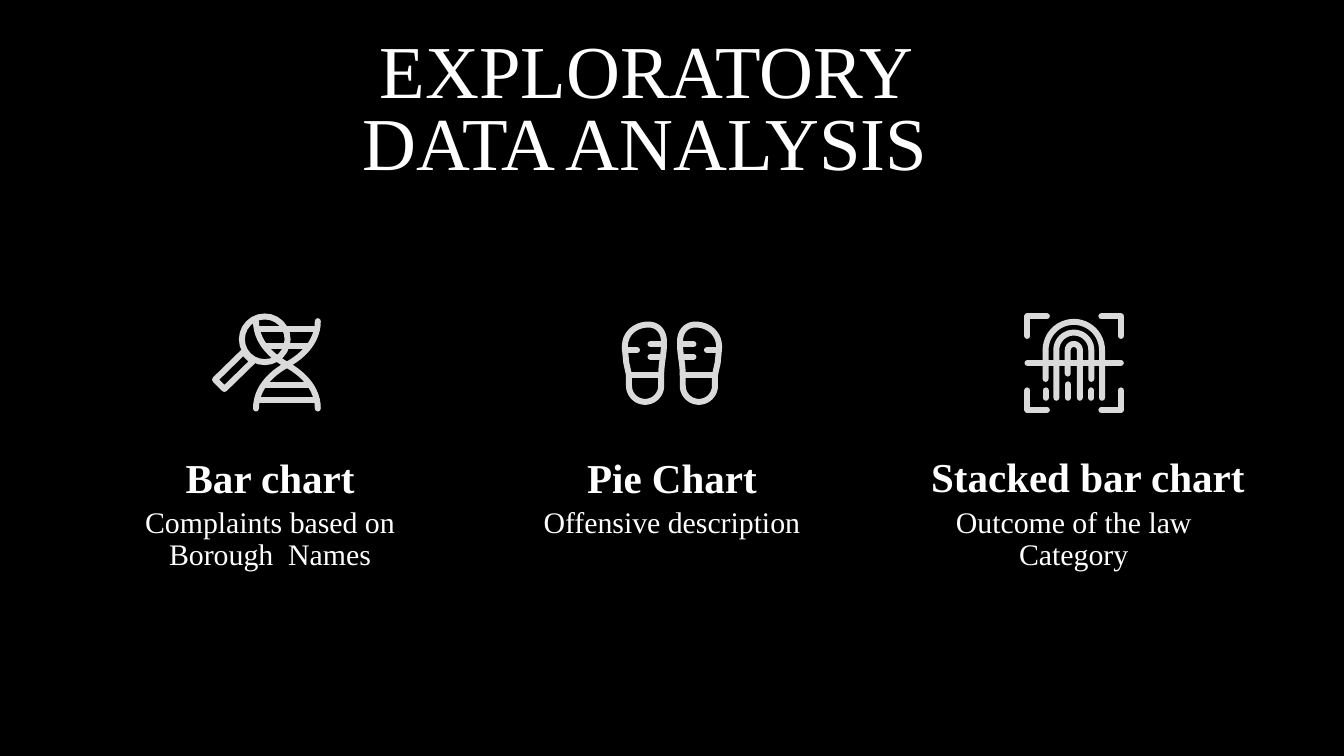
from math import cos, pi, sin

from lxml.etree import SubElement
from pptx import Presentation
from pptx.dml.color import RGBColor
from pptx.enum.shapes import MSO_CONNECTOR
from pptx.enum.text import MSO_ANCHOR, MSO_AUTO_SIZE, PP_ALIGN
from pptx.oxml.ns import qn
from pptx.util import Inches, Pt

FONT = "Times New Roman"
WHITE, GREY, BLACK = "FFFFFF", "DADADA", "000000"
WIDE = Inches(10)


def color(code):
    return RGBColor.from_string(code)


def style(target, values):
    for name, value in values.items():
        setattr(target, name, value)


def write(shape, text, size, bold=False, anchor=MSO_ANCHOR.TOP, **spacing):
    frame = shape.text_frame
    edge = Inches(0.1)
    style(frame, dict(text=text, word_wrap=True, auto_size=MSO_AUTO_SIZE.NONE,
                      vertical_anchor=anchor, margin_left=edge,
                      margin_right=edge, margin_top=edge, margin_bottom=edge))
    para = frame.paragraphs[0]
    style(para, dict(alignment=PP_ALIGN.CENTER, space_before=Pt(0), **spacing))
    font = para.runs[0].font
    style(font, dict(name=FONT, size=Pt(size), bold=bold))
    font.color.rgb = color(WHITE)


# Icon points are in hundredths of an inch from the icon's corner
def arc(x, y, r, start, end, steps=24):
    turns = [(start + (end - start) * i / steps) * pi / 180
             for i in range(steps + 1)]
    return [(x + r * cos(t), y + r * sin(t)) for t in turns]


def curve(a, b, c, d, steps=12):
    points = []
    for i in range(steps + 1):
        t = i / steps
        u = 1 - t
        points.append(tuple(
            u**3 * p + 3 * u * u * t * q + 3 * u * t * t * r + t**3 * s
            for p, q, r, s in zip(a, b, c, d)))
    return points


def flip(lines, axis, span):
    return [[(span - x, y) if axis == "x" else (x, span - y)
             for x, y in line] for line in lines]


def pen(shape):
    shape.line.color.rgb = color(GREY)
    shape.line.width = Pt(3.2)
    line = shape.line._get_or_add_ln()
    line.set("cap", "rnd")
    SubElement(line, qn("a:round"))


def draw(slide, box, lines):
    left, top = box
    paths = [[(Inches(left + x / 100), Inches(top + y / 100))
              for x, y in line] for line in lines]
    form = slide.shapes.build_freeform(*paths[0][0])
    for i, path in enumerate(paths):
        if i:
            form.move_to(*path[0])
        form.add_line_segments(path[1:], close=False)
    shape = form.convert_to_shape()
    shape.shadow.inherit = False
    shape.fill.background()
    pen(shape)


def dash(slide, box, x, start, end):
    left, top = box
    across = Inches(left + x / 100)
    mark = slide.shapes.add_connector(
        MSO_CONNECTOR.STRAIGHT, across, Inches(top + start / 100),
        across, Inches(top + end / 100))
    pen(mark)
    SubElement(mark._element.spPr, qn("a:effectLst"))


# Magnifier over a DNA helix
def helix(slide, box):
    strand = (curve((33.5, 6), (33.5, 20), (43, 31), (56.5, 38.5))
              + curve((56.5, 38.5), (70, 46), (79.5, 57), (79.5, 71)))
    rungs = [[(x, y), (113 - x, y)]
             for x, y in [(35, 12), (40, 24.5), (40, 53.5), (35, 65)]]
    handle = [(3, 49.5), (10, 56.5), (31, 36), (24, 29), (3, 49.5)]
    lens = arc(40, 19.5, 17, 0, 360)
    draw(slide, box, [strand, *flip([strand], "x", 113), *rungs, handle, lens])


# Pair of shoe prints
def shoes(slide, box):
    left, top = box
    outline = (curve((5, 40), (5, 30), (2.5, 24), (3, 14))
               + curve((3, 14), (3.5, 7), (8, 2.5), (14.5, 2.5))
               + curve((14.5, 2.5), (24, 2.5), (33, 9), (32, 21))
               + [(31, 31), (29, 40)] + arc(17, 48, 12, 0, 180) + [(5, 40)])
    bars = [[(a, y), (b, y)] for a, b, y in
            [(5, 29, 40), (5, 13, 17), (5, 13, 26.5), (23, 32, 21.5)]]
    right = [outline, *bars]
    draw(slide, (left + 0.4, top), right)
    draw(slide, box, flip(right, "x", 34))


# Fingerprint in a scan frame
def finger(slide, box):
    span = 74.5
    corner = [[(2.5, 17), (2.5, 2.5), (17, 2.5)]]
    for part in (corner, flip(corner, "x", span)):
        draw(slide, box, part)
        draw(slide, box, flip(part, "y", span))
    ridges = [[(37 - r, a), *arc(37, 27.5, r, 180, 360), (37 + r, b)]
              for r, a, b in [(21, 49, 63), (13, 63, 49), (4.5, 45, 63)]]
    draw(slide, box, [*ridges, [(2.5, 37), (72, 37)]])
    for x, start in [(16, 57.5), (32.5, 53), (50, 57.5)]:
        dash(slide, box, x, start, 63)


# Heading and text under an icon
def label(slide, box, head, text, shift=(0, 0), extra=0):
    left, top, width = box
    dx, dy = shift
    name = slide.shapes.add_textbox(Inches(left + dx), Inches(top + dy),
                                    Inches(width + extra), Inches(0.49))
    write(name, head, 22, True, MSO_ANCHOR.BOTTOM,
          line_spacing=0.9, space_after=Pt(12))
    body = slide.shapes.add_textbox(Inches(left), Inches(top + 0.33),
                                    Inches(width), Inches(0.73))
    write(body, text, 16, line_spacing=0.9)


def heading(slide, box, text):
    title = slide.shapes.title
    names = ("left", "top", "width", "height")
    style(title, dict(zip(names, map(Inches, box))))
    write(title, text, 40, line_spacing=0.8, space_after=Pt(2))


def main():
    deck = Presentation()
    style(deck, dict(slide_width=WIDE, slide_height=WIDE * 9 // 16))
    slide = deck.slides.add_slide(deck.slide_layouts[5])
    slide.background.fill.solid()
    slide.background.fill.fore_color.rgb = color(BLACK)

    heading(slide, (2.23, 0.21, 5.14, 1.19), "EXPLORATORY DATA ANALYSIS")

    # Three columns; the last heading is wider
    columns = [
        ("Bar chart", "Complaints based on Borough  Names", {}),
        ("Pie Chart", "Offensive description", {}),
        ("Stacked bar chart", "Outcome of the law Category",
         dict(shift=(-0.23, -0.01), extra=0.67)),
    ]
    for i, (head, text, change) in enumerate(columns):
        label(slide, (0.78 + 2.99 * i, 3.35, 2.46), head, text, **change)

    shoes(slide, (4.63, 2.39))
    helix(slide, (1.57, 2.33))
    finger(slide, (7.62, 2.33))
    deck.save("out.pptx")


if __name__ == "__main__":
    main()
